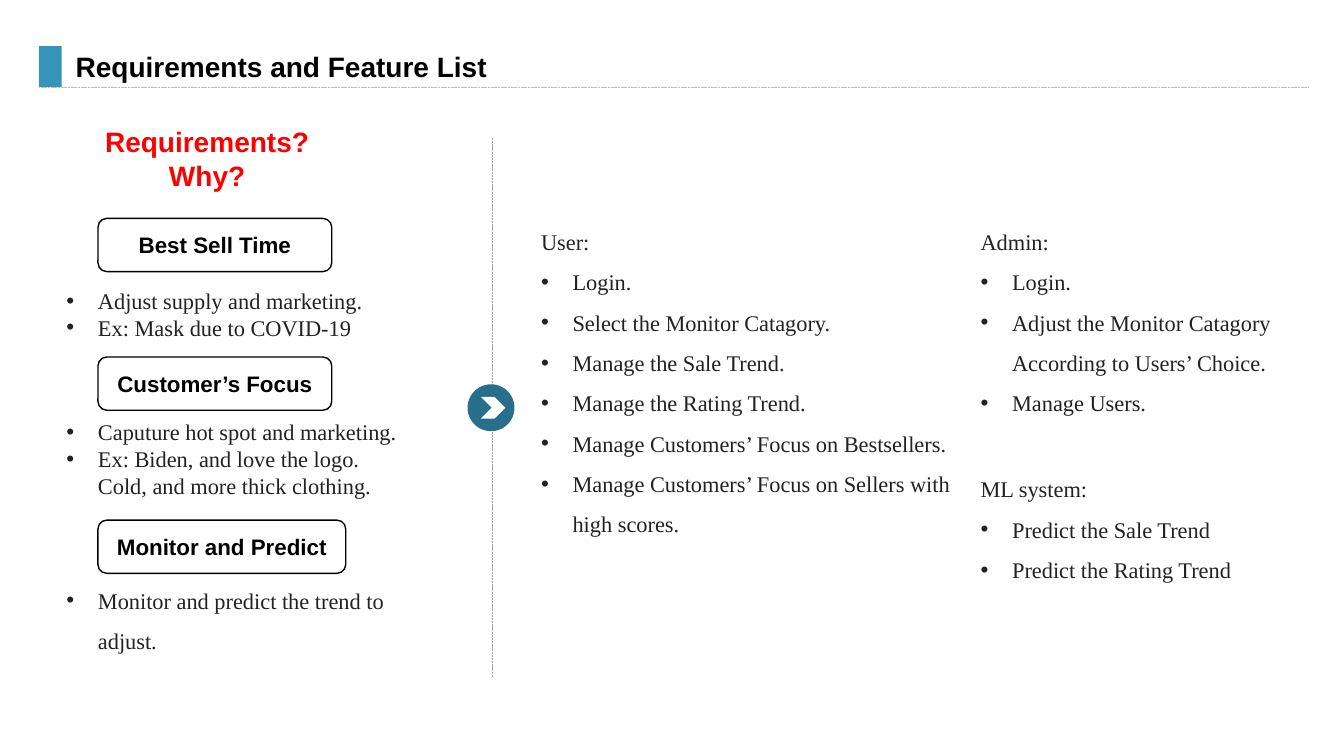
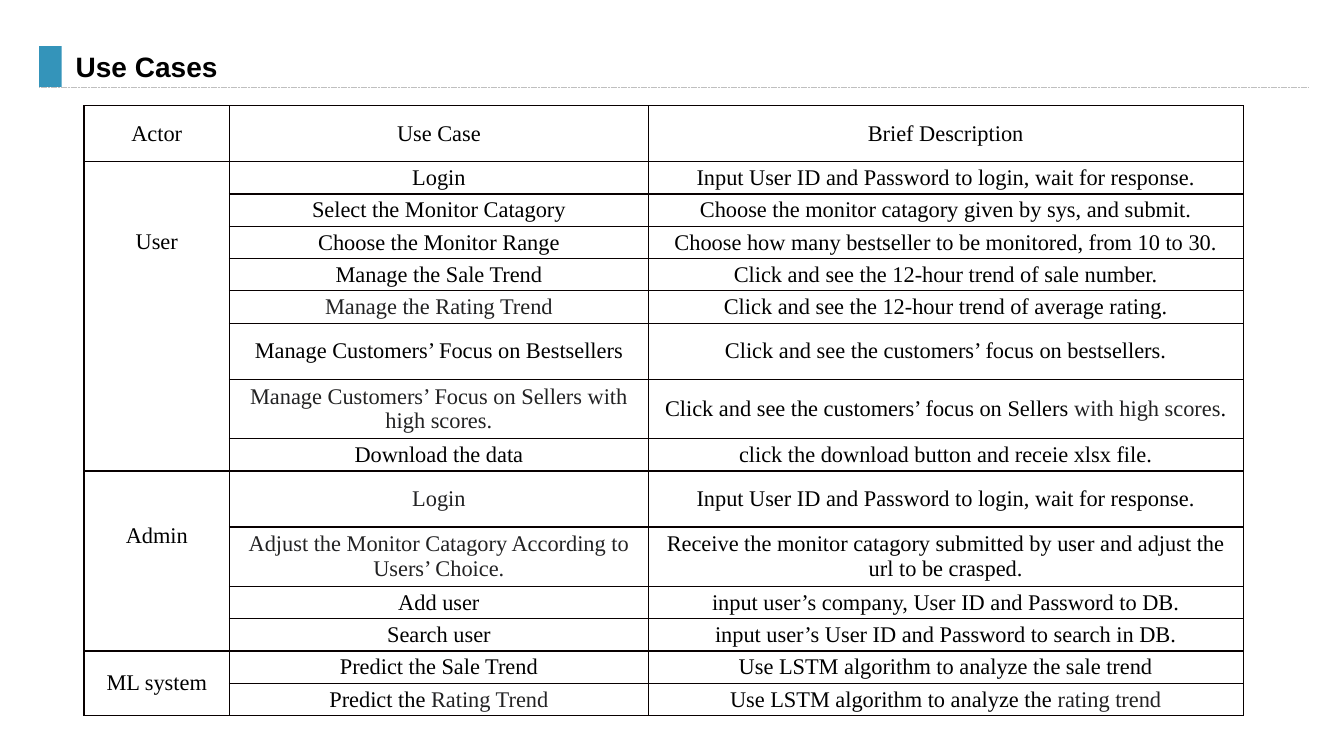
from lxml import etree
from pptx import Presentation
from pptx.dml.color import RGBColor
from pptx.enum.dml import MSO_LINE
from pptx.enum.shapes import MSO_CONNECTOR, MSO_SHAPE
from pptx.enum.text import MSO_ANCHOR, PP_ALIGN
from pptx.oxml.ns import qn
from pptx.util import Pt

STRAIGHT = MSO_CONNECTOR.STRAIGHT
RECTANGLE = MSO_SHAPE.RECTANGLE
ROUNDED = MSO_SHAPE.ROUNDED_RECTANGLE
OVAL = MSO_SHAPE.OVAL
CHEVRON = MSO_SHAPE.CHEVRON
MIDDLE = MSO_ANCHOR.MIDDLE
CENTER = PP_ALIGN.CENTER
DASH = MSO_LINE.SQUARE_DOT


class Theme:
    heading_font = "Arial"
    body_font = "Times New Roman"
    title_size = Pt(20)
    body_size = Pt(16)
    black = RGBColor(0x00, 0x00, 0x00)
    dark = RGBColor(0x22, 0x22, 0x23)
    white = RGBColor(0xFF, 0xFF, 0xFF)
    red = RGBColor(0xFF, 0x00, 0x00)
    accent = RGBColor(0x34, 0x94, 0xBA)
    deep_accent = RGBColor(0x27, 0x6F, 0x8B)
    header_rule = RGBColor(0xBF, 0xBF, 0xBF)
    divider = RGBColor(0xA6, 0xA6, 0xA6)
    table_border = "080000"


def add_dashed_line(slide, start, end, color, width):
    line = slide.shapes.add_connector(STRAIGHT, *map(Pt, start + end))
    line.line.color.rgb = color
    line.line.width = Pt(width)
    line.line.dash_style = DASH
    etree.SubElement(line._element.spPr, qn("a:effectLst"))


def style_heading(paragraph, size, color):
    paragraph.font.name = Theme.heading_font
    paragraph.font.size = size
    paragraph.font.bold = True
    paragraph.font.color.rgb = color


presentation = Presentation()
presentation.slide_width = Pt(960)
presentation.slide_height = Pt(540)

slides = []
for title in ["Requirements and Feature List", "Use Cases"]:
    slide = presentation.slides.add_slide(presentation.slide_layouts[6])
    slides.append(slide)
    add_dashed_line(slide, (28, 62), (934.5, 62), Theme.header_rule, 0.25)
    marker = slide.shapes.add_shape(RECTANGLE, Pt(28), Pt(33), Pt(16), Pt(29))
    marker.shadow.inherit = False
    marker.fill.solid()
    marker.fill.fore_color.rgb = Theme.accent
    marker.line.fill.background()
    title_box = slide.shapes.add_textbox(Pt(47), Pt(34), Pt(828), Pt(30))
    title_box.text_frame.word_wrap = True
    title_box.text_frame.vertical_anchor = MIDDLE
    paragraph = title_box.text_frame.paragraphs[0]
    paragraph.text = title
    paragraph.line_spacing = 0.9
    style_heading(paragraph, Theme.title_size, Theme.black)

requirements, use_cases = slides

add_dashed_line(requirements, (352, 98.5), (352, 484), Theme.divider, 0.5)
badge = requirements.shapes.add_group_shape()
for kind, left, top, width, height, color in [
    (OVAL, 334, 274.5, 33.5, 33.5, Theme.deep_accent),
    (CHEVRON, 343.5, 283.5, 17.5, 15.5, Theme.white),
]:
    shape = badge.shapes.add_shape(kind, Pt(left), Pt(top), Pt(width), Pt(height))
    shape.shadow.inherit = False
    shape.fill.solid()
    shape.fill.fore_color.rgb = color
    shape.line.fill.background()

for text, left, top, width, size, color, outlined in [
    ("Requirements? Why?", 40, 94, 216, Theme.title_size, Theme.red, False),
    ("Best Sell Time", 70, 156, 167, Theme.body_size, Theme.black, True),
    ("Customer’s Focus", 70, 255, 167, Theme.body_size, Theme.black, True),
    ("Monitor and Predict", 70, 371.5, 177, Theme.body_size, Theme.black, True),
]:
    box = requirements.shapes.add_shape(ROUNDED, Pt(left), Pt(top), Pt(width), Pt(38))
    box.shadow.inherit = False
    box.fill.background()
    if outlined:
        box.line.color.rgb = Theme.black
        box.line.width = Pt(1)
    else:
        box.line.fill.background()
    box.text_frame.word_wrap = True
    box.text_frame.vertical_anchor = MIDDLE
    paragraph = box.text_frame.paragraphs[0]
    paragraph.text = text
    paragraph.alignment = CENTER
    style_heading(paragraph, size, color)

for left, top, width, height, spacing, heading, bullets in [
    (47, 205, 243, 39, 1, None,
     ["Adjust supply and marketing.", "Ex: Mask due to COVID-19"]),
    (47, 299, 243, 58, 1, None,
     ["Caputure hot spot and marketing.",
      "Ex: Biden, and love the logo. Cold, and more thick clothing."]),
    (47, 409.5, 271, 29, 1.5, None, ["Monitor and predict the trend to adjust."]),
    (386, 153.5, 315, 233, 1.5, "User:",
     ["Login.", "Select the Monitor Catagory.", "Manage the Sale Trend.",
      "Manage the Rating Trend.", "Manage Customers’ Focus on Bestsellers.",
      "Manage Customers’ Focus on Sellers with high scores."]),
    (700, 153.5, 230, 145, 1.5, "Admin:",
     ["Login.", "Adjust the Monitor Catagory According to Users’ Choice.",
      "Manage Users."]),
    (700, 330, 230, 87, 1.5, "ML system:",
     ["Predict the Sale Trend", "Predict the Rating Trend"]),
]:
    box = requirements.shapes.add_textbox(Pt(left), Pt(top), Pt(width), Pt(height))
    frame = box.text_frame
    frame.word_wrap = True
    frame.margin_left = frame.margin_right = frame.margin_top = frame.margin_bottom = 0
    lines = ([heading] if heading else []) + bullets
    for index, text in enumerate(lines):
        paragraph = frame.add_paragraph() if index else frame.paragraphs[0]
        paragraph.text = text
        paragraph.line_spacing = float(spacing)
        properties = paragraph._p.get_or_add_pPr()
        if text == heading:
            properties.set("marL", str(Pt(0.5)))
        else:
            properties.set("marL", str(Pt(23)))
            properties.set("indent", str(Pt(-22.5)))
            etree.SubElement(properties, qn("a:buFont"), typeface=Theme.heading_font)
            etree.SubElement(properties, qn("a:buChar"), char="•")
        paragraph.font.name = Theme.body_font
        paragraph.font.size = Theme.body_size
        paragraph.font.color.rgb = Theme.dark

SHORT, TALL, DOUBLE = 23.1, 40, 42.5
column_widths = [104, 299, 425]
table_rows = [
    (TALL, "Actor", "Use Case", "Brief Description"),
    (SHORT, "User", "Login", "Input User ID and Password to login, wait for response."),
    (SHORT, "", "Select the Monitor Catagory",
     "Choose the monitor catagory given by sys, and submit."),
    (SHORT, "", "Choose the Monitor Range",
     "Choose how many bestseller to be monitored, from 10 to 30."),
    (SHORT, "", "Manage the Sale Trend", "Click and see the 12-hour trend of sale number."),
    (SHORT, "", "|Manage the Rating Trend",
     "Click and see the 12-hour trend of average rating."),
    (TALL, "", "Manage Customers’ Focus on Bestsellers",
     "Click and see the customers’ focus on bestsellers."),
    (DOUBLE, "", "|Manage Customers’ Focus on Sellers with high scores.",
     "Click and see the customers’ focus on Sellers |with high scores|."),
    (SHORT, "", "Download the data", "click the download button and receie xlsx file."),
    (TALL, "Admin", "|Login", "Input User ID and Password to login, wait for response."),
    (DOUBLE, "", "|Adjust the Monitor Catagory According to Users’ Choice.",
     "Receive the monitor catagory submitted by user and adjust the url to be crasped."),
    (SHORT, "", "Add user", "input user’s company, User ID and Password to DB."),
    (SHORT, "", "Search user", "input user’s User ID and Password to search in DB."),
    (SHORT, "ML system", "Predict the Sale Trend",
     "Use LSTM algorithm to analyze the sale trend"),
    (SHORT, "", "Predict the |Rating Trend",
     "Use LSTM algorithm to analyze the |rating trend"),
]
table = use_cases.shapes.add_table(
    len(table_rows), len(column_widths), Pt(60), Pt(75.5),
    Pt(sum(column_widths)), Pt(sum(row[0] for row in table_rows)),
).table
table.first_row = False
table.horz_banding = False
for column, width in zip(table.columns, column_widths):
    column.width = Pt(width)

for row_index, (height, *texts) in enumerate(table_rows):
    table.rows[row_index].height = Pt(height)
    for column_index, text in enumerate(texts):
        cell = table.cell(row_index, column_index)
        cell.vertical_anchor = MIDDLE
        cell.margin_left = cell.margin_right = Pt(5)
        cell.margin_top = cell.margin_bottom = 0
        cell.fill.solid()
        cell.fill.fore_color.rgb = Theme.white
        properties = cell._tc.get_or_add_tcPr()
        for position, edge in enumerate(["a:lnL", "a:lnR", "a:lnT", "a:lnB"]):
            border = etree.Element(qn(edge), w=str(Pt(1)))
            border_fill = etree.SubElement(border, qn("a:solidFill"))
            etree.SubElement(border_fill, qn("a:srgbClr"), val=Theme.table_border)
            properties.insert(position, border)
        paragraph = cell.text_frame.paragraphs[0]
        paragraph.alignment = CENTER
        paragraph.font.name = Theme.body_font
        paragraph.font.size = Theme.body_size
        paragraph.font.color.rgb = Theme.black
        for part_index, part in enumerate(text.split("|")):
            if part:
                run = paragraph.add_run()
                run.text = part
                if part_index % 2:
                    run.font.color.rgb = Theme.dark

for first_row, last_row, bottom_margin in [(1, 8, 107), (9, 12, 36), (13, 14, 0)]:
    actor = table.cell(first_row, 0)
    actor.merge(table.cell(last_row, 0))
    actor.margin_bottom = Pt(bottom_margin)

presentation.save("out.pptx")
